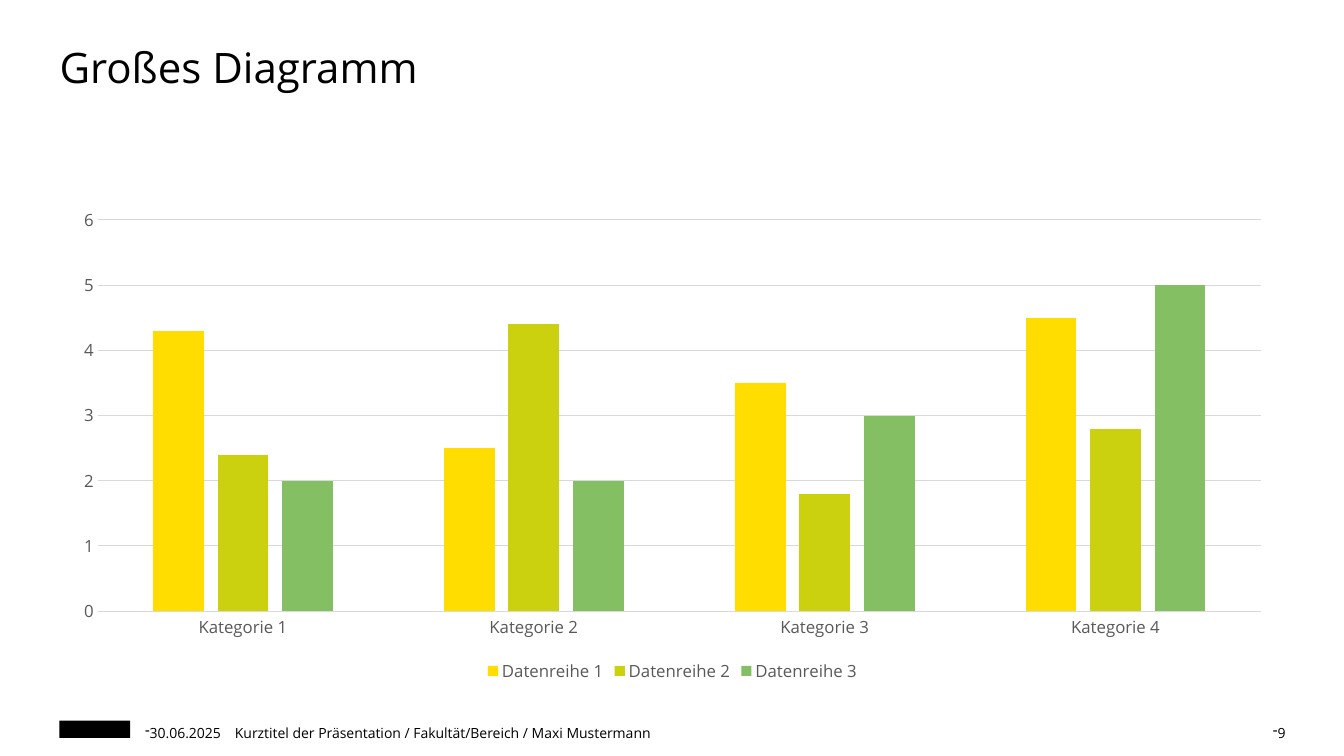
from lxml import etree
from pptx import Presentation
from pptx.chart.data import CategoryChartData
from pptx.dml.color import RGBColor
from pptx.enum.chart import XL_CHART_TYPE, XL_LEGEND_POSITION, XL_TICK_MARK
from pptx.enum.shapes import MSO_SHAPE
from pptx.enum.text import MSO_ANCHOR, MSO_AUTO_SIZE, PP_ALIGN
from pptx.oxml.ns import qn
from pptx.util import Inches, Pt

COLUMNS = XL_CHART_TYPE.COLUMN_CLUSTERED
BOTTOM = XL_LEGEND_POSITION.BOTTOM
NO_TICKS = XL_TICK_MARK.NONE
LEFT, CENTER, RIGHT = PP_ALIGN.LEFT, PP_ALIGN.CENTER, PP_ALIGN.RIGHT

BLACK = RGBColor(0x00, 0x00, 0x00)
AXIS_GREY = RGBColor(0x59, 0x59, 0x59)
GRID_GREY = RGBColor(0xD9, 0xD9, 0xD9)
YELLOW = RGBColor(0xFF, 0xDD, 0x00)
LIME = RGBColor(0xCB, 0xD1, 0x0F)
GREEN = RGBColor(0x84, 0xBF, 0x63)
FONT = "Open Sans"

# Page grid in inches
MARGIN, CONTENT_WIDTH = 0.59, 12.16
FOOTER_TOP, FOOTER_HEIGHT = 7.15, 0.2


def set_font(font, size, color):
    font.name = FONT
    font.size = Pt(size)
    font.color.rgb = color


def set_frame(frame, anchor):
    frame.margin_left = frame.margin_right = 0
    frame.margin_top = frame.margin_bottom = 0
    frame.word_wrap = True
    frame.auto_size = MSO_AUTO_SIZE.NONE
    frame.vertical_anchor = anchor


presentation = Presentation()
presentation.slide_width = Inches(13.33)
presentation.slide_height = Inches(7.5)
slide = presentation.slides.add_slide(presentation.slide_layouts[5])

# Title
title = slide.shapes.title
title.left, title.top = Inches(MARGIN), Inches(0.41)
title.width, title.height = Inches(CONTENT_WIDTH), Inches(0.98)
title.text_frame.text = "Großes Diagramm"
set_frame(title.text_frame, MSO_ANCHOR.TOP)
heading = title.text_frame.paragraphs[0]
heading.alignment = LEFT
set_font(heading.runs[0].font, 30, BLACK)

# Chart data
chart_data = CategoryChartData()
chart_data.categories = [f"Kategorie {number}" for number in range(1, 5)]
data_rows = [
    ("Datenreihe 1", (4.3, 2.5, 3.5, 4.5), YELLOW),
    ("Datenreihe 2", (2.4, 4.4, 1.8, 2.8), LIME),
    ("Datenreihe 3", (2, 2, 3, 5), GREEN),
]
for name, values, _ in data_rows:
    chart_data.add_series(name, values)

# Column chart
chart = slide.shapes.add_chart(
    COLUMNS, Inches(MARGIN), Inches(1.97),
    Inches(CONTENT_WIDTH), Inches(4.84), chart_data).chart
set_font(chart.font, 10, BLACK)
chart.has_title = False
columns = chart.plots[0]
columns.vary_by_categories = False
columns.gap_width = 219
columns.overlap = -27
for series, (_, _, color) in zip(columns.series, data_rows):
    series.format.fill.solid()
    series.format.fill.fore_color.rgb = color

# Axes and legend
categories, scale = chart.category_axis, chart.value_axis
for axis in (categories, scale):
    axis.major_tick_mark = axis.minor_tick_mark = NO_TICKS
    set_font(axis.tick_labels.font, 12, AXIS_GREY)
scale.minimum_scale, scale.maximum_scale, scale.major_unit = 0, 6, 1
scale.format.line.fill.background()
for line in (categories.format.line, scale.major_gridlines.format.line):
    line.color.rgb = GRID_GREY
    line.width = Pt(0.75)
chart.has_legend = True
chart.legend.position = BOTTOM
chart.legend.include_in_layout = False
set_font(chart.legend.font, 12, AXIS_GREY)

# Plain block in place of the logo
emblem = slide.shapes.add_shape(
    MSO_SHAPE.RECTANGLE, Inches(MARGIN), Inches(FOOTER_TOP),
    Inches(0.7), Inches(0.17))
emblem.shadow.inherit = False
emblem.fill.solid()
emblem.fill.fore_color.rgb = BLACK
emblem.line.fill.background()

# Footer: date, short title, page number
footer_parts = [
    ("30.06.2025", 1.4, 0.83, CENTER, True),
    ("Kurztitel der Präsentation / Fakultät/Bereich / Maxi Mustermann",
     2.33, 9.45, LEFT, False),
    ("9", 12.16, 0.59, RIGHT, True),
]
for wording, left, width, alignment, dashed in footer_parts:
    footer = slide.shapes.add_textbox(
        Inches(left), Inches(FOOTER_TOP), Inches(width), Inches(FOOTER_HEIGHT))
    footer.text_frame.text = wording
    set_frame(footer.text_frame, MSO_ANCHOR.BOTTOM)
    paragraph = footer.text_frame.paragraphs[0]
    paragraph.alignment = alignment
    paragraph.line_spacing = 1.1
    if dashed:
        properties = paragraph._p.get_or_add_pPr()
        properties.set("marL", "0")
        properties.set("indent", "0")
        etree.SubElement(properties, qn("a:buChar")).set("char", "-")
    set_font(paragraph.runs[0].font, 10, BLACK)

presentation.save("out.pptx")
